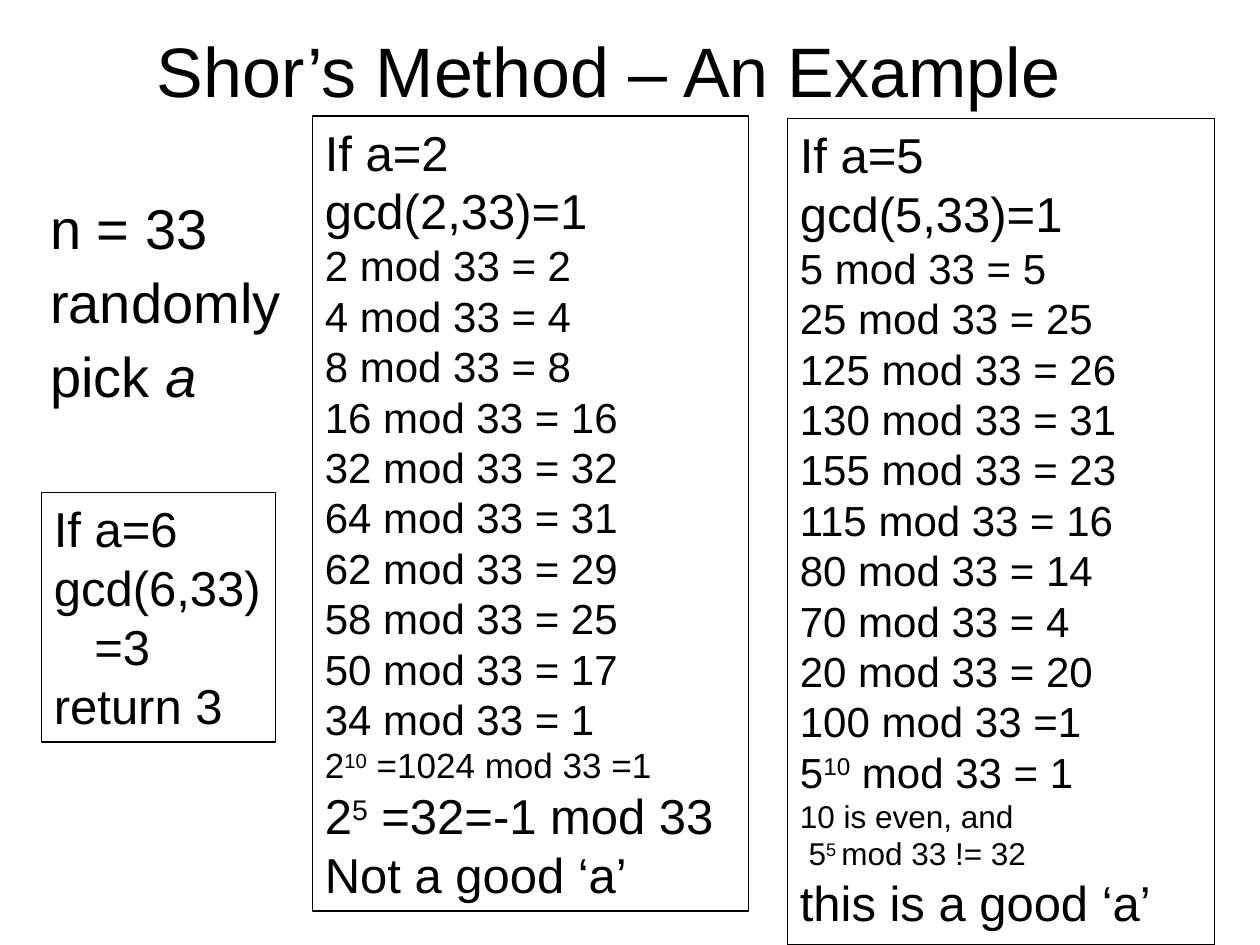
from pptx import Presentation
from pptx import util as u
from pptx.dml.color import RGBColor
from pptx.enum import shapes, text

BLACK = RGBColor(0, 0, 0)
FONT = "Arial"
BIG, MID = 28, 24


def add_run(para, words, size, italic=False, raised=False):
    """Add one styled run to a paragraph."""
    run = para.add_run()
    run.text = words
    font = run.font
    font.name, font.size, font.color.rgb = FONT, u.Pt(size), BLACK
    if italic:
        font.italic = True
    if raised:
        run._r.get_or_add_rPr().set("baseline", "30000")


def add_para(frame, first):
    """Give the first paragraph of a frame, or a new one after it."""
    para = frame.paragraphs[0] if first else frame.add_paragraph()
    para.alignment = text.PP_ALIGN.LEFT
    return para


def add_text(slide, left, top, width, height):
    """Add a wrapping text box and return its frame."""
    box = slide.shapes.add_textbox(*map(u.Inches, (left, top, width, height)))
    box.text_frame.word_wrap = True
    return box.text_frame


def add_title(slide, words):
    """Add the centred heading."""
    frame = add_text(slide, 0.33, 0.21, 9, 0.69)
    frame.vertical_anchor = text.MSO_ANCHOR.MIDDLE
    para = add_para(frame, True)
    para.alignment = text.PP_ALIGN.CENTER
    add_run(para, words, 40)


def add_setup(slide, lines):
    """Add the opening steps; the second part of a line is italic."""
    frame = add_text(slide, 0.3, 1.55, 2.48, 0.94)
    for i, parts in enumerate(lines):
        para = add_para(frame, i == 0)
        para.line_spacing = 0.9
        para.space_before = u.Pt(7.5 if i else 0)
        for j, part in enumerate(parts):
            add_run(para, part, 32, italic=j == 1)


def add_case(slide, left, top, width, height, lines, wrap=True, inset=None):
    """Add a framed case; the second part of a line is raised."""
    box = slide.shapes.add_shape(shapes.MSO_SHAPE.RECTANGLE,
                                 *map(u.Inches, (left, top, width, height)))
    box.shadow.inherit = False
    box.fill.background()
    box.line.color.rgb, box.line.width = BLACK, u.Pt(0.75)
    frame = box.text_frame
    frame.word_wrap = wrap
    frame.auto_size = text.MSO_AUTO_SIZE.SHAPE_TO_FIT_TEXT
    frame.vertical_anchor = text.MSO_ANCHOR.TOP
    for i, (size, *parts) in enumerate(lines):
        para = add_para(frame, i == 0)
        if i == inset:
            para._p.get_or_add_pPr().set("marL", str(u.Inches(0.32)))
        for j, part in enumerate(parts):
            add_run(para, part, size, raised=j == 1)


def mod_rows(*nums):
    """List the remainders of the numbers by 33."""
    return [(MID, f"{n} mod 33 = {n % 33}") for n in nums]


def main():
    """Build the slide and save it."""
    deck = Presentation()
    deck.slide_width, deck.slide_height = u.Inches(10), u.Inches(7.5)
    slide = deck.slides.add_slide(deck.slide_layouts[6])
    add_title(slide, "Shor’s Method – An Example")
    add_setup(slide, [("n = 33",), ("randomly",), ("pick ", "a")])
    add_case(slide, 0.33, 3.91, 1.86, 1.98, [
        (BIG, "If a=6"), (BIG, "gcd(6,33)"), (BIG, "=3"), (BIG, "return 3"),
    ], wrap=False, inset=2)
    add_case(slide, 2.48, 0.92, 3.46, 6.31, [
        (BIG, "If a=2"), (BIG, "gcd(2,33)=1"),
        *mod_rows(2, 4, 8, 16, 32, 64, 62, 58, 50, 34),
        (20, "2", "10", " =1024 mod 33 =1"),
        (BIG, "2", "5", " =32=-1 mod 33"),
        (BIG, "Not a good ‘a’"),
    ])
    add_case(slide, 6.25, 0.94, 3.39, 6.56, [
        (BIG, "If a=5"), (BIG, "gcd(5,33)=1"),
        *mod_rows(5, 25, 125, 130, 155, 115, 80, 70, 20),
        (MID, "100 mod 33 =1"),
        (MID, "5", "10", " mod 33 = 1"),
        (18, "10 is even, and"),
        (18, " 5", "5 ", "mod 33 != 32"),
        (BIG, "this is a good ‘a’"),
    ])
    deck.save("out.pptx")


if __name__ == "__main__":
    main()
